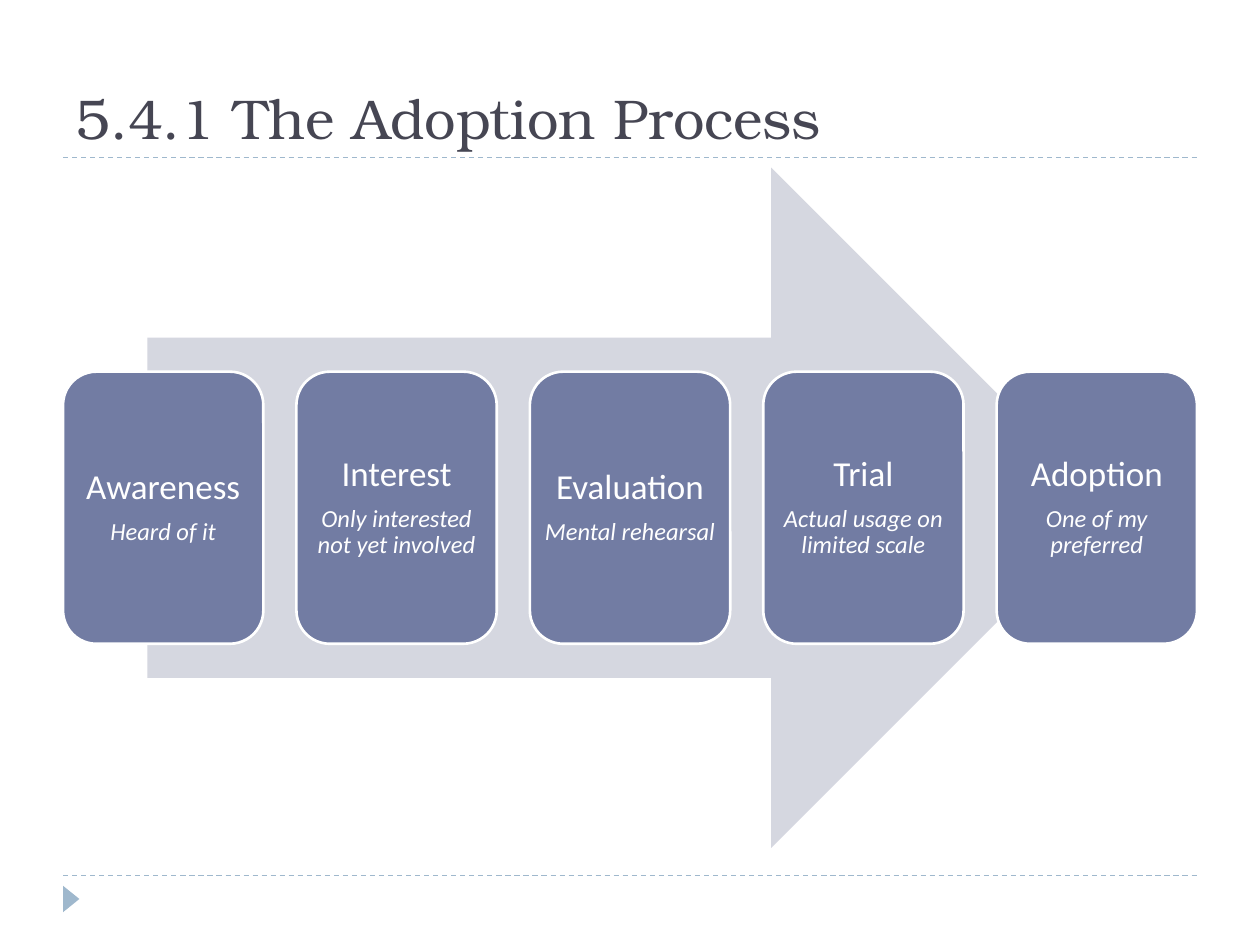
from lxml.etree import SubElement
from pptx import Presentation
from pptx.dml.color import RGBColor
from pptx.enum.dml import MSO_LINE
from pptx.enum.shapes import MSO_CONNECTOR, MSO_SHAPE
from pptx.enum.text import MSO_ANCHOR, PP_ALIGN
from pptx.oxml.ns import qn
from pptx.util import Inches, Pt

TITLE = "5.4.1 The Adoption Process"
STAGES = [
    ("Awareness", "Heard of it"),
    ("Interest", "Only interested not yet involved"),
    ("Evaluation", "Mental rehearsal"),
    ("Trial", "Actual usage on limited scale"),
    ("Adoption", "One of my preferred"),
]
COLORS = {
    "title": "464653",
    "accent": "9FB8CD",
    "arrow": "D5D7E0",
    "stage": "727CA3",
    "white": "FFFFFF",
}
TITLE_FONT = "TeX Gyre Bonum"
BODY_FONT = "Calibri"
LEFT, RIGHT = 0.5, 9.5
RULE_TOPS = (6.95, 1.25)
STAGE_TOP, STAGE_WIDTH, STAGE_HEIGHT = 2.95, 1.59, 2.16
STAGE_STEP = (RIGHT - LEFT - STAGE_WIDTH) / (len(STAGES) - 1)


def color(name):
    return RGBColor.from_string(COLORS[name])


def style_font(font, name, size, color_name, italic=False):
    font.name = name
    font.size = Pt(size)
    font.color.rgb = color(color_name)
    font.italic = italic


def add_filled_shape(slide, kind, left, top, width, height, fill):
    shape = slide.shapes.add_shape(
        kind, Inches(left), Inches(top), Inches(width), Inches(height)
    )
    shape.shadow.inherit = False
    shape.fill.solid()
    shape.fill.fore_color.rgb = color(fill)
    shape.line.fill.background()
    return shape


def add_rule(slide, top):
    rule = slide.shapes.add_connector(
        MSO_CONNECTOR.STRAIGHT, Inches(LEFT), Inches(top), Inches(RIGHT), Inches(top)
    )
    rule.line.color.rgb = color("accent")
    rule.line.width = Pt(0.75)
    rule.line.dash_style = MSO_LINE.DASH
    SubElement(rule._element.spPr, qn("a:effectLst"))


def add_title(slide):
    title = slide.shapes.title
    title.left, title.top = Inches(LEFT), Inches(0.17)
    title.width, title.height = Inches(RIGHT - LEFT), Inches(1.08)
    frame = title.text_frame
    frame.text = TITLE
    frame.vertical_anchor = MSO_ANCHOR.BOTTOM
    paragraph = frame.paragraphs[0]
    paragraph.alignment = PP_ALIGN.LEFT
    style_font(paragraph.runs[0].font, TITLE_FONT, 32, "title")


def add_stage(slide, index, name, description):
    stage = add_filled_shape(
        slide, MSO_SHAPE.ROUNDED_RECTANGLE, LEFT + index * STAGE_STEP,
        STAGE_TOP, STAGE_WIDTH, STAGE_HEIGHT, "stage",
    )
    stage.line.color.rgb = color("white")
    stage.line.width = Pt(1.5)
    frame = stage.text_frame
    frame.word_wrap = True
    frame.vertical_anchor = MSO_ANCHOR.MIDDLE
    frame.margin_left = frame.margin_right = Inches(0)
    frame.margin_top = frame.margin_bottom = Inches(0)
    frame.text = f"{name}\n{description}"
    for paragraph, size, italic in zip(frame.paragraphs, (20, 14), (False, True)):
        paragraph.alignment = PP_ALIGN.CENTER
        paragraph.line_spacing = 0.9
        paragraph.space_after = Pt(size * 0.35)
        style_font(paragraph.runs[0].font, BODY_FONT, size, "white", italic)


def main():
    presentation = Presentation()
    presentation.slide_width, presentation.slide_height = Inches(10), Inches(7.5)
    slide = presentation.slides.add_slide(presentation.slide_layouts[5])
    for top in RULE_TOPS:
        add_rule(slide, top)
    marker = add_filled_shape(
        slide, MSO_SHAPE.ISOSCELES_TRIANGLE, 0.46, 7.07, 0.21, 0.13, "accent"
    )
    marker.rotation = 90
    add_title(slide)
    add_filled_shape(slide, MSO_SHAPE.RIGHT_ARROW, 1.17, 1.33, 7.65, 5.4, "arrow")
    for index, (name, description) in enumerate(STAGES):
        add_stage(slide, index, name, description)
    presentation.save("out.pptx")


if __name__ == "__main__":
    main()
